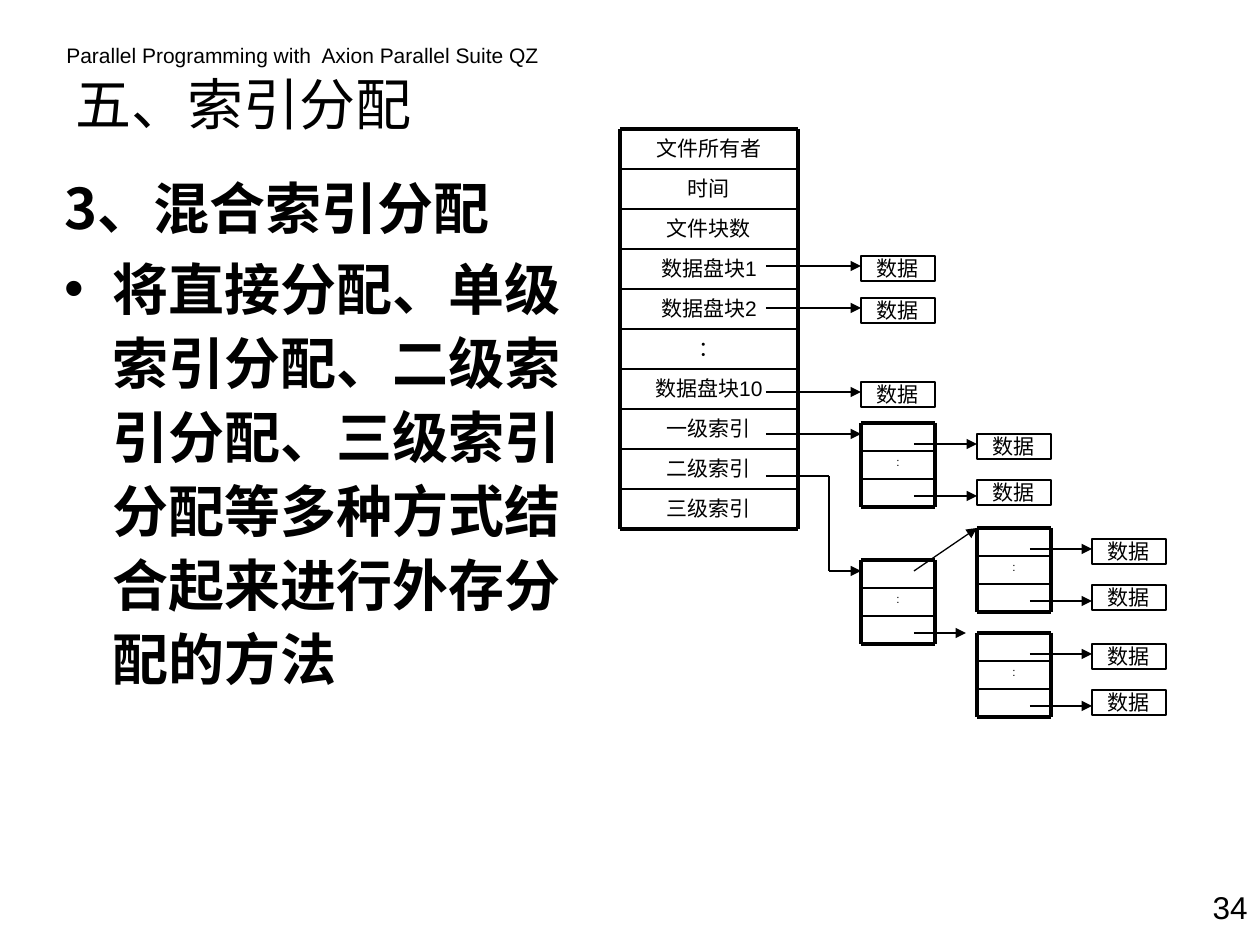
from lxml.etree import SubElement
from pptx import Presentation
from pptx.dml.color import RGBColor
from pptx.enum.shapes import MSO_CONNECTOR as Link, MSO_SHAPE as Shape
from pptx.enum.text import MSO_ANCHOR as Anchor, MSO_AUTO_SIZE as AutoSize, PP_ALIGN as Align
from pptx.oxml.ns import qn
from pptx.util import Pt

PX = 914400 // 126

HEADER = "Parallel Programming with  Axion Parallel Suite QZ"
TITLE = "五、索引分配"
BODY = [
    ("3、混合索引分配", None),
    ("将直接分配、单级索引分配、二级索引分配、三级索引分配等多种方式结合起来进行外存分配的方法", "•"),
]
PAGE_NUMBER = "34"
INODE_ROWS = [
    "文件所有者", "时间", "文件块数", "数据盘块1", "数据盘块2",
    "：", "数据盘块10", "一级索引", "二级索引", "三级索引",
]
INDEX_ROWS = ["", ":", ""]
DATA = "数据"

THEME = {
    "ink": RGBColor(0, 0, 0),
    "latin": "Arial", "cjk": "Noto Sans CJK SC",
    "heading": 32, "number": 18, "label": 12, "dots": 6.6,
    "thick": 2.25, "rule": 1, "thin": 0.75,
}

# Diagram columns and sizes, in px
INODE_X, INODE_Y, INODE_W, INODE_ROW = 620, 129, 178, 40
COLUMNS = [861, 977, 1092]
BOX_W, BOX_H, INDEX_ROW = 74, 25, 28
POINTER_X, INDEX_POINTER = 766, 53      # where arrows begin
DIRECT_BLOCKS = [(266, 256), (308, 298), (392, 382)]   # arrow y, box y
INDEX_LINKS = [(21, 11), (73, 57)]      # the same, measured from the top of an index block
LEAF_INDEXES = [(0, 423), (1, 528), (1, 633)]          # column, top
DOUBLE_INDEX_Y = 560
BENT_ARROW = [(POINTER_X, 476), (829, 476), (829, 571), (COLUMNS[0], 571)]


def px(*lengths):
    return [length * PX for length in lengths]


def write(para, text, size, align=Align.LEFT, font=THEME["latin"], bold=False):
    para.alignment = align
    span = para.add_run()
    span.text = text
    for name, value in {"size": Pt(size), "name": font, "bold": bold}.items():
        setattr(span.font, name, value)
    span.font.color.rgb = THEME["ink"]
    SubElement(span.font._element, qn("a:ea"), typeface=THEME["cjk"])


def place(shape, *bounds):
    for name, value in zip(("left", "top", "width", "height"), px(*bounds)):
        setattr(shape, name, value)


def add_label(page, text, bounds, size, align=Align.LEFT, spacing=1.0):
    frame = page.shapes.add_textbox(*px(*bounds)).text_frame
    frame.word_wrap = True
    para = frame.paragraphs[0]
    para.line_spacing = spacing
    write(para, text, size, align)


def style_line(line, weight="thin"):
    line.color.rgb = THEME["ink"]
    line.width = Pt(THEME[weight])


def add_line(page, *ends, weight="thin", arrow=False):
    link = page.shapes.add_connector(Link.STRAIGHT, *px(*ends))
    style_line(link.line, weight)
    if arrow:
        SubElement(link.line._get_or_add_ln(), qn("a:tailEnd"), type="triangle")
    SubElement(link._element.spPr, qn("a:effectLst"))


def add_arrow(page, *ends):
    add_line(page, *ends, arrow=True)


def add_data_box(page, left, top):
    box = page.shapes.add_shape(Shape.RECTANGLE, *px(left, top, BOX_W, BOX_H))
    box.shadow.inherit = False
    box.fill.background()
    style_line(box.line)
    frame = box.text_frame
    frame.margin_top = frame.margin_bottom = 0
    frame.vertical_anchor = Anchor.MIDDLE
    write(frame.paragraphs[0], DATA, THEME["label"], Align.CENTER)


def add_block(page, rows, left, top, width, row_height, size, spacing=1.0):
    """Add stacked labels with a heavy outline and light rules between rows."""
    right, bottom = left + width, top + row_height * len(rows)
    for index, text in enumerate(rows):
        if text:
            bounds = (left, top + index * row_height, width, row_height)
            add_label(page, text, bounds, size, Align.CENTER, spacing)
    for y in range(top, bottom + 1, row_height):
        weight = "thick" if y in (top, bottom) else "rule"
        add_line(page, left, y, right, y, weight=weight)
    for x in (left, right):
        add_line(page, x, top, x, bottom, weight="thick")


def add_index_block(page, left, top):
    add_block(page, INDEX_ROWS, left, top, BOX_W, INDEX_ROW, THEME["dots"], spacing=0.8)


def add_text(page):
    heading = {"size": THEME["heading"], "font": THEME["cjk"]}
    add_label(page, HEADER, (54, 36, 517, 38), THEME["label"])
    add_label(page, PAGE_NUMBER, (1176, 882, 84, 50), THEME["number"], Align.RIGHT)

    title, body = page.shapes.title, page.placeholders[1]
    place(title, 63, 56, 640, 94)
    place(body, 52, 160, 546, 567)
    for shape, anchor in ((title, Anchor.MIDDLE), (body, Anchor.TOP)):
        shape.text_frame.auto_size = AutoSize.NONE
        shape.text_frame.vertical_anchor = anchor
    write(title.text_frame.paragraphs[0], TITLE, **heading)

    frame = body.text_frame
    for index, (text, bullet) in enumerate(BODY):
        para = frame.add_paragraph() if index else frame.paragraphs[0]
        write(para, text, bold=True, **heading)
        para.line_spacing, para.space_before = Pt(42.3), Pt(4)
        props = para._p.get_or_add_pPr()
        props.set("marL", str(48 * PX))
        props.set("indent", str(-48 * PX))
        if bullet:
            SubElement(props, qn("a:buFont"), typeface=THEME["latin"])
            SubElement(props, qn("a:buChar"), char=bullet)
        else:
            SubElement(props, qn("a:buNone"))


def add_diagram(page):
    add_block(page, INODE_ROWS, INODE_X, INODE_Y, INODE_W, INODE_ROW, THEME["label"])
    first, second, _ = COLUMNS
    for arrow_y, box_y in DIRECT_BLOCKS:
        add_data_box(page, first, box_y)
        add_arrow(page, POINTER_X, arrow_y, first, arrow_y)
    add_arrow(page, POINTER_X, 434, first, 434)

    for number, top in LEAF_INDEXES:
        left, end = COLUMNS[number:number + 2]
        add_index_block(page, left, top)
        for arrow_y, box_y in INDEX_LINKS:
            add_data_box(page, end, top + box_y)
            add_arrow(page, left + INDEX_POINTER, top + arrow_y, end, top + arrow_y)

    add_index_block(page, first, DOUBLE_INDEX_Y)
    start = first + INDEX_POINTER
    add_arrow(page, start, 571, second, LEAF_INDEXES[1][1])
    add_arrow(page, start, 633, second - 11, 633)
    for begin, end in zip(BENT_ARROW, BENT_ARROW[1:]):
        add_line(page, *begin, *end, arrow=end == BENT_ARROW[-1])


def main():
    deck = Presentation()
    deck.slide_width, deck.slide_height = px(1260, 945)
    page = deck.slides.add_slide(deck.slide_layouts[1])
    add_text(page)
    add_diagram(page)
    deck.save("out.pptx")


if __name__ == "__main__":
    main()
